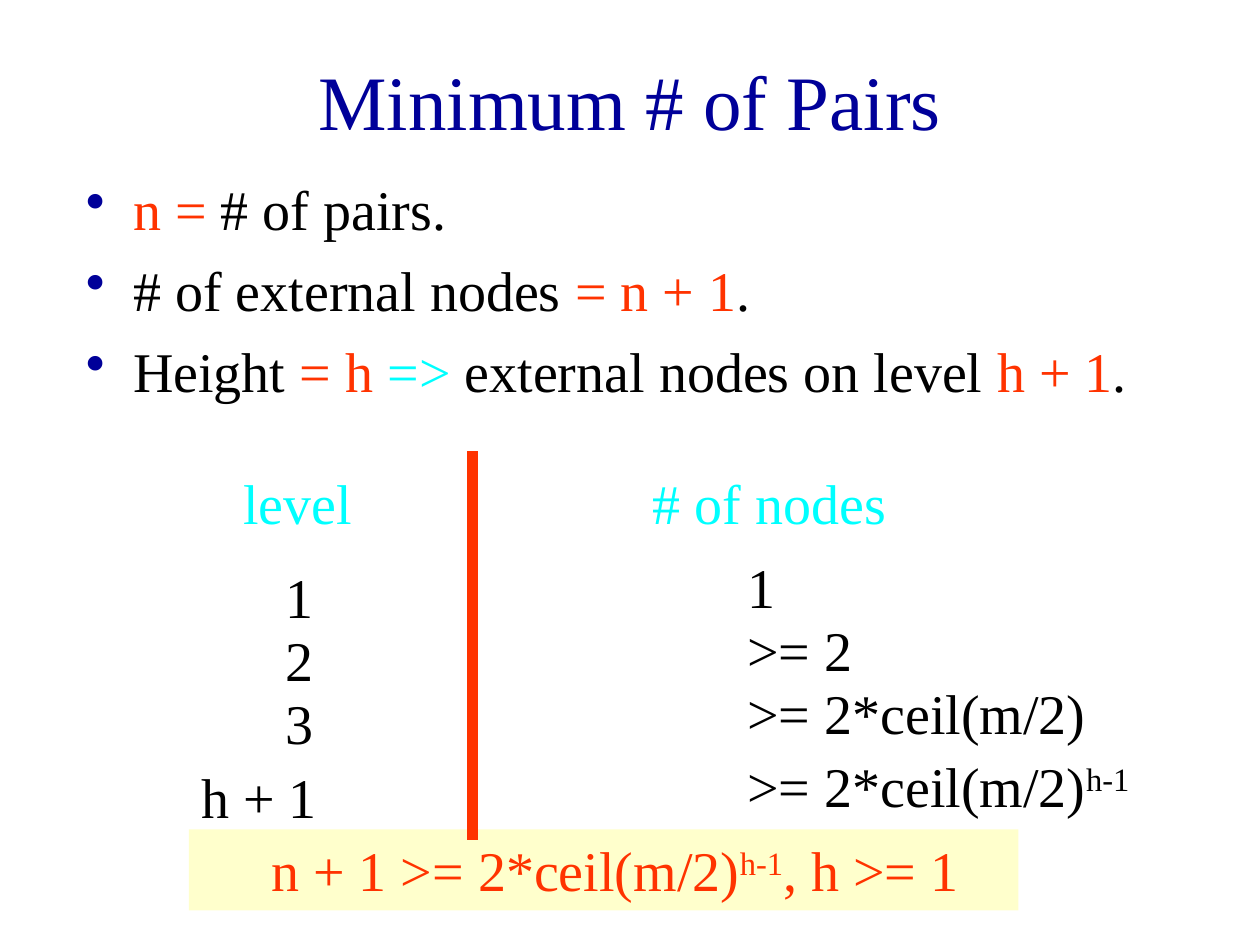
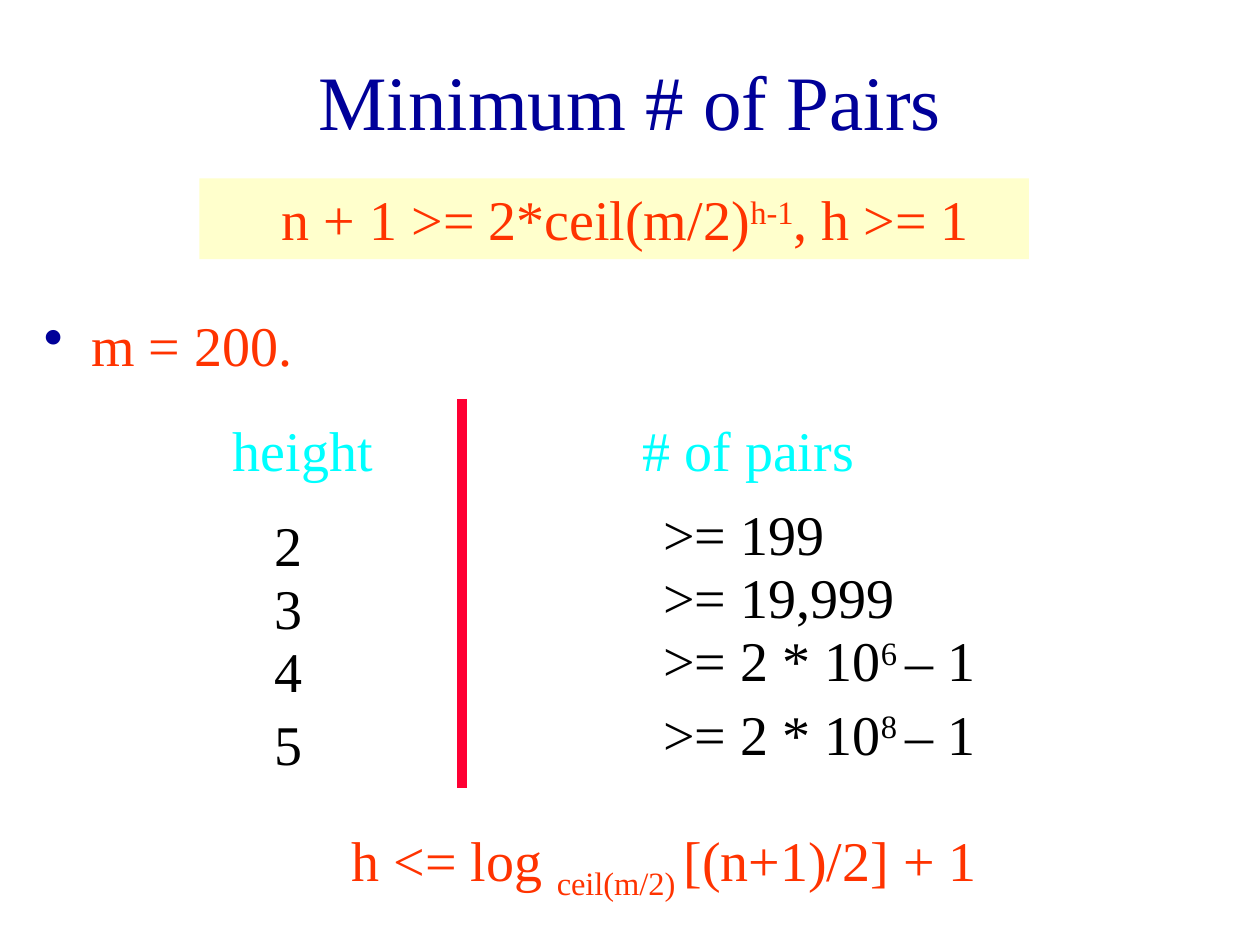
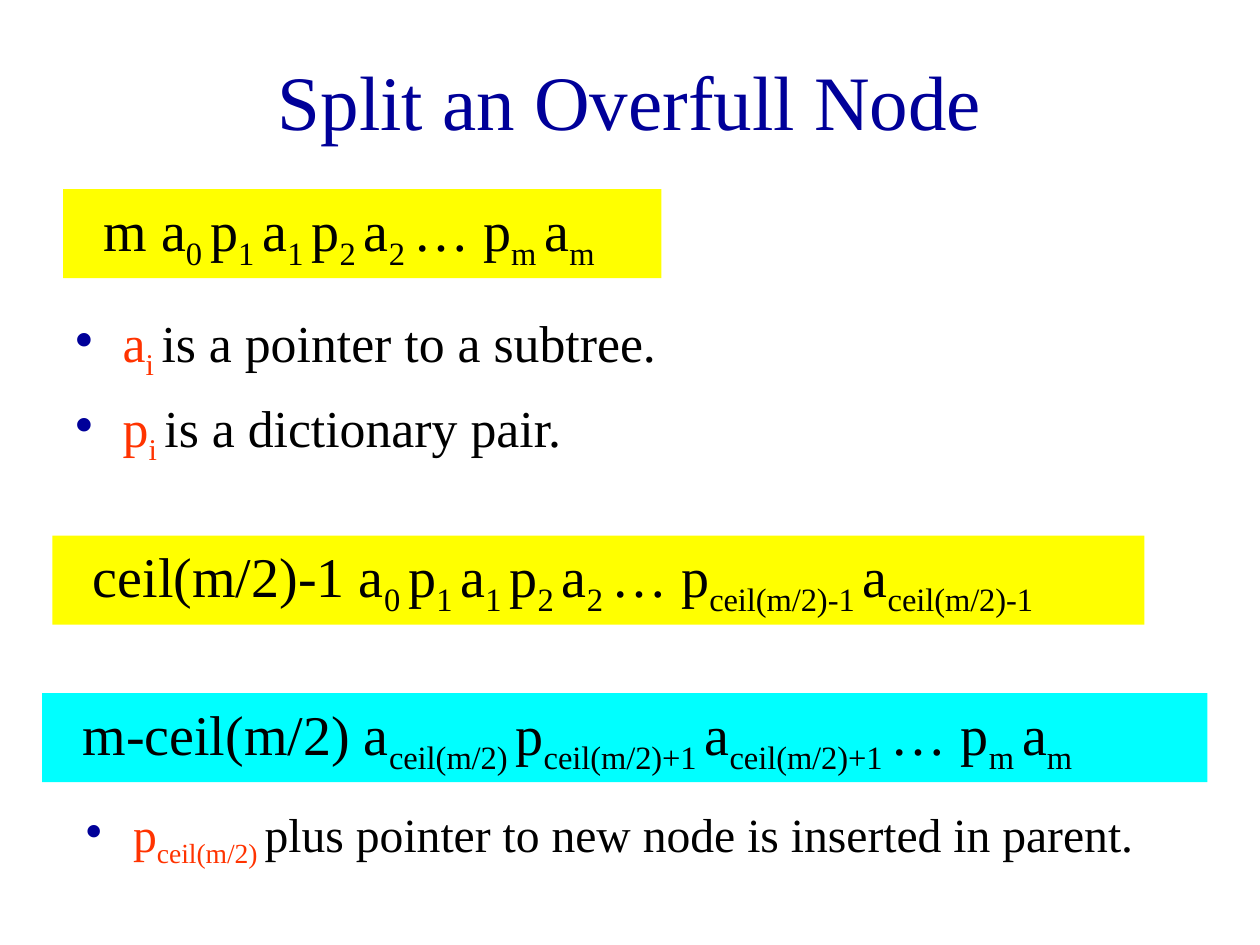
"""Build three slides on B-tree pair counts and node splitting."""
from dataclasses import dataclass
from typing import Any, NamedTuple

from lxml import etree
from pptx import Presentation
from pptx.dml.color import RGBColor
from pptx.enum.shapes import MSO_CONNECTOR, MSO_SHAPE
from pptx.enum.text import MSO_ANCHOR, MSO_AUTO_SIZE, PP_ALIGN
from pptx.oxml.ns import qn
from pptx.util import Cm, Pt

RECTANGLE = MSO_SHAPE.RECTANGLE
STRAIGHT = MSO_CONNECTOR.STRAIGHT
MIDDLE, TOP = MSO_ANCHOR.MIDDLE, MSO_ANCHOR.TOP
GROW, FIXED = MSO_AUTO_SIZE.SHAPE_TO_FIT_TEXT, MSO_AUTO_SIZE.NONE
LEFT, CENTER = PP_ALIGN.LEFT, PP_ALIGN.CENTER
SUPERSCRIPT, SUBSCRIPT = 30, -25


@dataclass(frozen=True)
class Theme:
    """Colours, type sizes and measures shared by all slides."""
    font: str = "Times New Roman"
    title: str = "000099"
    ink: str = "000000"
    accent: str = "FF3300"
    crimson: str = "FF0033"
    cyan: str = "00FFFF"
    cream: str = "FFFFCC"
    yellow: str = "FFFF00"
    white: str = "FFFFFF"
    title_size: float = 44
    text_size: float = 32
    pointer_size: float = 29.6
    parent_size: float = 27.2
    rule_width: float = 6
    line_height: float = 7.7
    formula_height: float = 8.5
    hanging: float = 4.5


THEME = Theme()


class Span(NamedTuple):
    """Text with one colour and baseline shift."""
    text: str
    color: str = THEME.ink
    shift: int = 0


class Area(NamedTuple):
    """Left, top, width and height in grid steps."""
    left: float
    top: float
    width: float
    height: float = THEME.line_height


class Row(NamedTuple):
    """One line of a two-column list."""
    key: str
    value: list[Span]
    key_left: float = -19


@dataclass(frozen=True)
class Columns:
    """Two headed columns either side of a vertical rule."""
    left: float
    top: float
    value_left: float
    rule_color: str
    headings: tuple[str, str]
    rows: list[Row]


@dataclass(frozen=True)
class Band:
    """A filled bar that holds one formula."""
    area: Area
    fill: str
    indent: float
    spans: list[Span]


def grid(steps: float) -> Cm:
    """Turn grid steps, 120 to the slide width, into a length."""
    return Cm(25.4 * steps / 120)


def apply(target: Any, values: dict[str, Any]) -> None:
    """Set every named attribute on the target."""
    for name, value in values.items():
        setattr(target, name, value)


def formula(color: str, shift: int, *pieces: str) -> list[Span]:
    """Make spans of which every second one is shifted."""
    return [Span(piece, color, shift * (index % 2)) for index, piece in enumerate(pieces)]


def add_spans(para: Any, spans: list[Span], size: float) -> None:
    """Write spans into a paragraph."""
    for item in spans:
        span = para.add_run()
        span.text = item.text
        apply(span.font, {"name": THEME.font, "size": Pt(size)})
        span.font.color.rgb = RGBColor.from_string(item.color)
        if item.shift:
            span.font._rPr.set("baseline", str(item.shift * 1000))


def set_frame(box: Any, anchor: Any = TOP, fit: Any = FIXED) -> Any:
    """Give a box the common frame format and return its frame."""
    frame = box.text_frame
    apply(frame, {"word_wrap": True, "auto_size": fit, "vertical_anchor": anchor,
                  "margin_left": Cm(0.25), "margin_right": Cm(0.25),
                  "margin_top": Cm(0.13), "margin_bottom": Cm(0.13)})
    return frame


def add_line(page: Any, area: Area, spans: list[Span]) -> None:
    """Add a text box with a single line."""
    box = page.shapes.add_textbox(*map(grid, area))
    para = set_frame(box, fit=GROW).paragraphs[0]
    para.space_before = Pt(20)
    add_spans(para, spans, THEME.text_size)


def add_title(page: Any, text: str) -> None:
    """Add the slide title."""
    box = page.shapes.add_textbox(*map(grid, Area(9, 2, 102, 15)))
    para = set_frame(box, MIDDLE).paragraphs[0]
    para.alignment = CENTER
    add_spans(para, [Span(text, THEME.title)], THEME.title_size)


def add_bullets(page: Any, area: Area, lines: list[list[Span]],
                size: float = THEME.text_size) -> None:
    """Add a bulleted list."""
    frame = set_frame(page.shapes.add_textbox(*map(grid, area)))
    for index, spans in enumerate(lines):
        para = frame.add_paragraph() if index else frame.paragraphs[0]
        para.space_before = Pt(8)
        properties = para._p.get_or_add_pPr()
        properties.set("marL", str(grid(THEME.hanging)))
        properties.set("indent", str(-grid(THEME.hanging)))
        color = etree.SubElement(properties, qn("a:buClr"))
        etree.SubElement(color, qn("a:srgbClr"), val=THEME.title)
        etree.SubElement(properties, qn("a:buChar"), char="•")
        add_spans(para, spans, size)


def add_band(page: Any, band: Band) -> None:
    """Add a filled bar with its formula."""
    box = page.shapes.add_shape(RECTANGLE, *map(grid, band.area))
    box.shadow.inherit = False
    box.fill.solid()
    box.fill.fore_color.rgb = RGBColor.from_string(band.fill)
    box.line.fill.background()
    para = set_frame(box, fit=GROW).paragraphs[0]
    apply(para, {"alignment": LEFT, "space_before": Pt(20)})
    para._p.get_or_add_pPr().set("marL", str(grid(band.indent)))
    add_spans(para, band.spans, THEME.text_size)


def add_columns(page: Any, columns: Columns) -> None:
    """Add headings, rows and the rule between the columns."""
    left, top = columns.left, columns.top
    for text, offset, width in zip(columns.headings, (-23, 16), (18, 27)):
        add_line(page, Area(left + offset, top + 1, width), [Span(text, THEME.cyan)])
    for row, offset in zip(columns.rows, (10, 16, 22, 29)):
        add_line(page, Area(left + row.key_left, top + offset, 18), [Span(row.key)])
        add_line(page, Area(left + columns.value_left, top + offset - 1, 45), row.value)
    rule = page.shapes.add_connector(STRAIGHT, *map(grid, (left, top, left, top + 37)))
    rule.line.color.rgb = RGBColor.from_string(columns.rule_color)
    rule.line.width = Pt(THEME.rule_width)
    etree.SubElement(rule._element.spPr, qn("a:effectLst"))


def add_page(deck: Any, title: str) -> Any:
    """Add a blank slide with a title."""
    page = deck.slides.add_slide(deck.slide_layouts[6])
    add_title(page, title)
    return page


def bound_band(left: float, top: float) -> Band:
    """Make the bar with the lower bound on pairs."""
    spans = formula(THEME.accent, SUPERSCRIPT, "n + 1 >= 2*ceil(m/2)", "h-1", ", h >= 1")
    return Band(Area(left, top, 79), THEME.cream, 6.67, spans)


def node_band(area: Area, fill: str, *pieces: str) -> Band:
    """Make the bar with the contents of a node."""
    return Band(area, fill, 2.67, formula(THEME.ink, SUBSCRIPT, *pieces))


def build_levels(deck: Any) -> None:
    """Build the slide on nodes per level."""
    page = add_page(deck, "Minimum # of Pairs")
    accent = THEME.accent
    add_bullets(page, Area(7, 16, 102, 23), [
        [Span("n =", accent), Span(" # of pairs.")],
        [Span("# of external nodes "), Span("= n + 1", accent), Span(".")],
        [Span("Height "), Span("= h ", accent), Span("=>", THEME.cyan),
         Span(" external nodes on level "), Span("h + 1", accent), Span(".")],
    ])
    add_band(page, bound_band(18, 79))
    add_columns(page, Columns(45, 43, 25, accent, ("level", "# of nodes"), [
        Row("1", [Span("1")]),
        Row("2", [Span(">= 2")]),
        Row("3", [Span(">= 2*ceil(m/2)")]),
        Row("h + 1", formula(THEME.ink, SUPERSCRIPT, ">= 2*ceil(m/2)", "h-1"), -27),
    ]))


def build_heights(deck: Any) -> None:
    """Build the slide on pairs per height."""
    page = add_page(deck, "Minimum # of Pairs")
    add_bullets(page, Area(3, 29, 102, 12), [[Span("m = 200.", THEME.accent)]])
    add_band(page, bound_band(19, 17))
    powers = [Row(key, formula(THEME.ink, SUPERSCRIPT, ">= 2 * 10", power, "– 1"))
              for key, power in (("4", "6 "), ("5", "8 "))]
    add_columns(page, Columns(44, 38, 18, THEME.crimson, ("height", "# of pairs"), [
        Row("2", [Span(">= 199")]),
        Row("3", [Span(">= 19,999")]),
        *powers,
    ]))
    spans = formula(THEME.accent, SUBSCRIPT, "h <= log ", "ceil(m/2) ", "[(n+1)/2] + 1")
    add_band(page, Band(Area(19, 78, 79, THEME.formula_height), THEME.white, 13.33, spans))


def build_split(deck: Any) -> None:
    """Build the slide on splitting a node."""
    page = add_page(deck, "Split an Overfull Node")
    accent, height = THEME.accent, THEME.formula_height
    add_bullets(page, Area(6, 29, 102, 16), [
        [*formula(accent, SUBSCRIPT, name, "i "), Span(f"is a {meaning}.")]
        for name, meaning in (("a", "pointer to a subtree"), ("p", "dictionary pair"))
    ], THEME.pointer_size)
    start = ("0 ", "p", "1 ", "a", "1 ", "p", "2 ", "a", "2 ", "… p")
    end = ("m ", "a", "m")
    middle, after = "ceil(m/2)-1", "ceil(m/2)+1 "
    for band in (
        node_band(Area(6, 18, 57, height), THEME.yellow, "m a", *start, *end),
        node_band(Area(5, 51, 104, height), THEME.yellow,
                  f"{middle} a", *start, f"{middle} ", "a", middle),
        node_band(Area(4, 66, 111, height), THEME.cyan,
                  "m-ceil(m/2) a", "ceil(m/2) ", "p", after, "a", after, "… p", *end),
    ):
        add_band(page, band)
    add_bullets(page, Area(7, 76, 109, 10), [
        [*formula(accent, SUBSCRIPT, "p", "ceil(m/2) "),
         Span("plus pointer to new node is inserted in parent.")],
    ], THEME.parent_size)


def main() -> None:
    """Build and save the deck."""
    deck = Presentation()
    apply(deck, {"slide_width": Cm(25.4), "slide_height": Cm(19.05)})
    for build in (build_levels, build_heights, build_split):
        build(deck)
    deck.save("out.pptx")


main()
